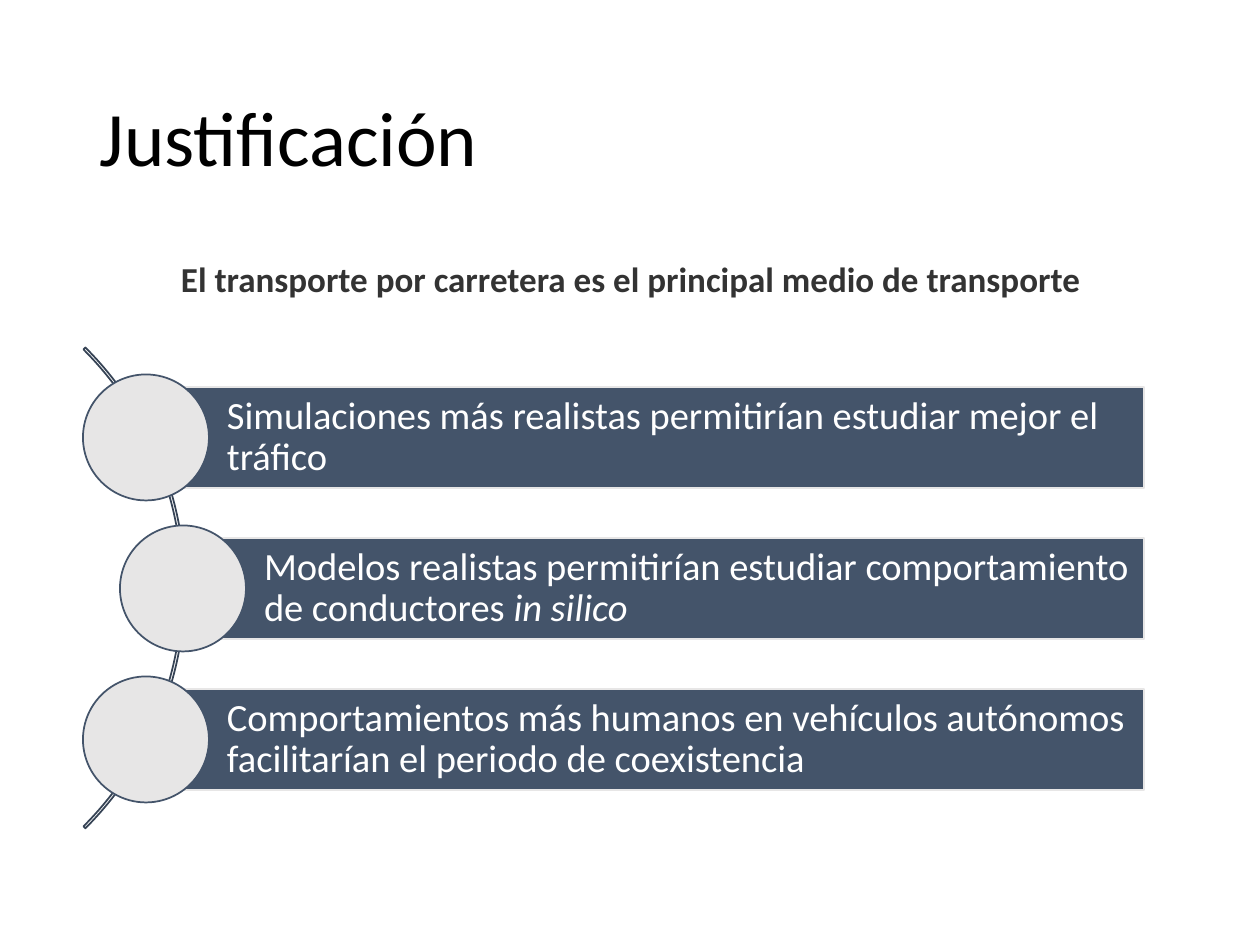
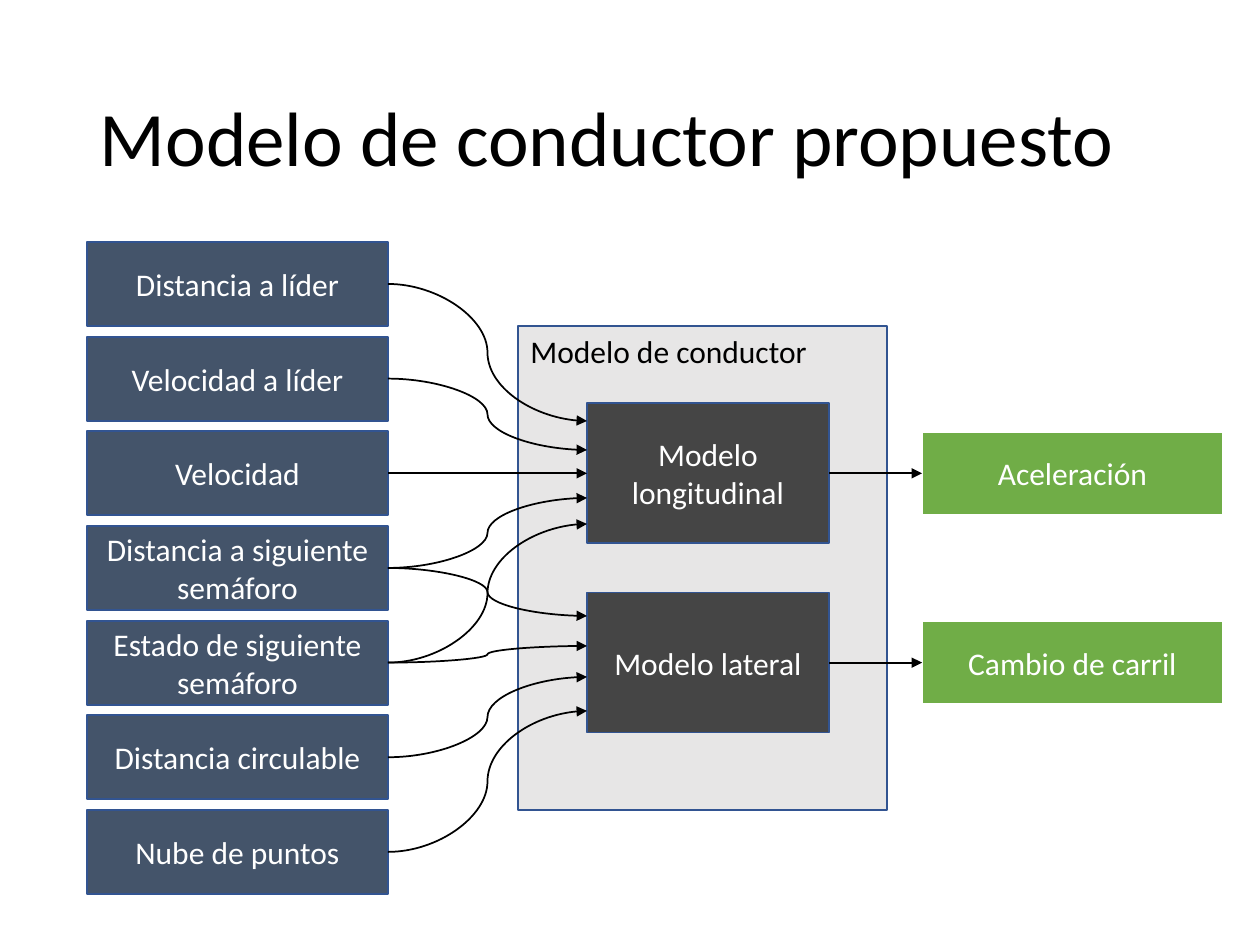
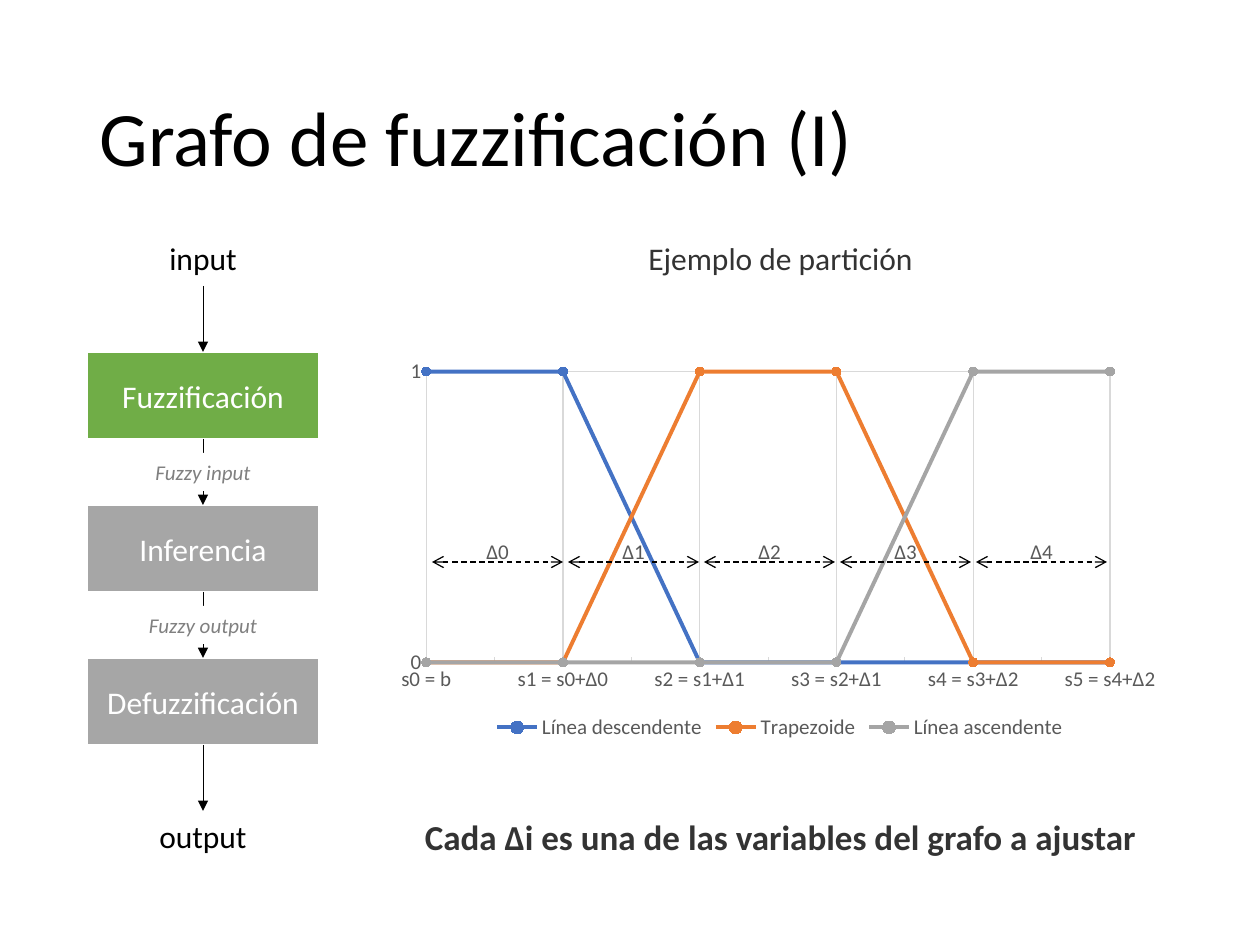
"""Build three slides on a proposed driver model and its fuzzification graph."""
from dataclasses import dataclass

from pptx import Presentation
from pptx.chart.data import CategoryChartData
from pptx.dml.color import RGBColor
from pptx.enum.chart import XL_CHART_TYPE as ChartType, XL_LEGEND_POSITION as LegendPosition
from pptx.enum.chart import XL_MARKER_STYLE as Marker, XL_TICK_MARK as Tick
from pptx.enum.dml import MSO_LINE
from pptx.enum.shapes import MSO_CONNECTOR as Connector, MSO_SHAPE as Shape
from pptx.enum.text import MSO_ANCHOR as Anchor, MSO_AUTO_SIZE as AutoSize, PP_ALIGN as Align
from pptx.oxml.ns import qn
from pptx.oxml.xmlchemy import OxmlElement
from pptx.util import Emu, Pt


@dataclass(frozen=True)
class Theme:
    font: str = "Calibri"
    black: str = "000000"
    white: str = "FFFFFF"
    ink: str = "333333"
    navy: str = "44546A"
    arc: str = "364355"
    pale: str = "E7E6E6"
    charcoal: str = "454545"
    border: str = "325491"
    green: str = "70AD47"
    gray: str = "A6A6A6"
    muted: str = "808080"
    axis: str = "595959"
    grid: str = "D9D9D9"
    series: tuple = ("4472C4", "ED7D31", "A5A5A5")
    title: int = 44
    bar: int = 22
    lead: int = 20
    body: int = 18
    small: int = 12


THEME = Theme()
SCALE = 914400 / 126
LEFT, RIGHT, TOP, BOTTOM = 1, 3, 0, 2

LEAD = "El transporte por carretera es el principal medio de transporte"
REASONS = [
    (146, [("Simulaciones más realistas permitirían estudiar mejor el tráfico", False)]),
    (183, [("Modelos realistas permitirían estudiar comportamiento de conductores ", False),
           ("in silico", True)]),
    (146, [("Comportamientos más humanos en vehículos autónomos facilitarían el "
            "periodo de coexistencia", False)]),
]

INPUTS = ["Distancia a líder", "Velocidad a líder", "Velocidad", "Distancia a siguiente semáforo",
          "Estado de siguiente semáforo", "Distancia circulable", "Nube de puntos"]
SUBMODELS = [
    {"name": "Modelo longitudinal", "output": "Aceleración", "row": 2,
     "arrows": [(0, 421), (1, 450), (2, None), (3, 498), (4, 524)]},
    {"name": "Modelo lateral", "output": "Cambio de carril", "row": 4,
     "arrows": [(3, 616), (4, 646), (5, 677), (6, 711)]},
]

STAGES = [("input", 93, 53, None), ("Fuzzificación", 233, 87, THEME.green),
          ("Inferencia", 233, 87, THEME.gray), ("Defuzzificación", 233, 87, THEME.gray),
          ("output", 114, 50, None)]
SIGNALS = [(1, "Fuzzy input", 122), (2, "Fuzzy output", 135)]
CATEGORIES = ["s0 = b", "s1 = s0+Δ0", "s2 = s1+Δ1", "s3 = s2+Δ1", "s4 = s3+Δ2", "s5 = s4+Δ2"]
SERIES = {"Línea descendente": (1, 1, 0, 0, 0, 0), "Trapezoide": (0, 0, 1, 1, 0, 0),
          "Línea ascendente": (0, 0, 0, 0, 1, 1)}
DELTAS = ["Δ0", "Δ1", "Δ2", "Δ3", "Δ4"]
PLOT_AREA = {"x": 0.05, "y": 0.05, "w": 0.87, "h": 0.74}


def emu(*lengths):
    return [Emu(round(length * SCALE)) for length in lengths]


def style_font(font, size, color, bold=False, italic=False):
    font.name, font.size, font.bold, font.italic = THEME.font, Pt(size), bold, italic
    font.color.rgb = RGBColor.from_string(color)


def style_line(line, color, width):
    line.color.rgb = RGBColor.from_string(color)
    line.width = Pt(width)


def write(shape, runs, size, color, align=Align.CENTER, anchor=Anchor.TOP, wrap=True, **style):
    """Write one paragraph, given as a string or as (text, italic) runs."""
    frame = shape.text_frame
    frame.word_wrap, frame.vertical_anchor = wrap, anchor
    para = frame.paragraphs[0]
    para.alignment = align
    style_font(para.font, size, color, **style)
    for text, italic in [(runs, False)] if isinstance(runs, str) else runs:
        span = para.add_run()
        span.text = text
        if italic:
            span.font.italic = True
    return para


def add_text(slide, frame, text, size, color, **style):
    box = slide.shapes.add_textbox(*emu(*frame))
    write(box, text, size, color, **style)


def add_box(slide, kind, frame, fill=None, line=None, width=1):
    box = slide.shapes.add_shape(kind, *emu(*frame))
    box.shadow.inherit = False
    if fill:
        box.fill.solid()
        box.fill.fore_color.rgb = RGBColor.from_string(fill)
    else:
        box.fill.background()
    if line:
        style_line(box.line, line, width)
    else:
        box.line.fill.background()
    return box


def add_labelled(slide, kind, frame, text, fill, line, width=1):
    box = add_box(slide, kind, frame, fill, line, width)
    write(box, text, THEME.body, THEME.white, anchor=Anchor.MIDDLE)
    return box


def add_arrow(slide, kind, ends, width, tips, dash=None):
    arrow = slide.shapes.add_connector(kind, *emu(*ends))
    style_line(arrow.line, THEME.black, width)
    if dash:
        arrow.line.dash_style = dash
    for tag, tip in tips.items():
        mark = OxmlElement(f"a:{tag}")
        mark.set("type", tip)
        arrow.line._get_or_add_ln().append(mark)
    arrow._element.spPr.append(OxmlElement("a:effectLst"))
    return arrow


def add_titled(deck, title):
    slide = deck.slides.add_slide(deck.slide_layouts[5])
    holder = slide.shapes.title
    holder.left, holder.top, holder.width, holder.height = emu(87, 50, 1086, 183)
    holder.text_frame.auto_size = AutoSize.NONE
    para = write(holder, title, THEME.title, THEME.black, Align.LEFT, Anchor.MIDDLE)
    para.line_spacing = 0.9
    return slide


def build_reasons(deck):
    slide = add_titled(deck, "Justificación")
    add_text(slide, (77, 251, 1108, 55), LEAD, THEME.lead, THEME.ink, bold=True)
    arc = add_box(slide, Shape.BLOCK_ARC, (-495, 248, 680, 680), line=THEME.arc)
    for index, value in enumerate((189, 27, 0.004)):
        arc.adjustments[index] = value
    right, height, circle = 1144, 101, 126
    for index, (left, runs) in enumerate(REASONS):
        top = 387 + 151 * index
        bar = add_box(slide, Shape.RECTANGLE, (left, top, right - left, height),
                      THEME.navy, THEME.pale)
        para = write(bar, runs, THEME.bar, THEME.white, Align.LEFT, Anchor.MIDDLE)
        para.line_spacing = 0.9
        frame = bar.text_frame
        (frame.margin_left, frame.margin_top,
         frame.margin_right, frame.margin_bottom) = emu(81, 8, 8, 8)
        add_box(slide, Shape.OVAL, (left - circle / 2, top + (height - circle) / 2, circle, circle),
                THEME.pale, THEME.navy)


def build_model(deck):
    slide = add_titled(deck, "Modelo de conductor propuesto")
    process, width, height = Shape.FLOWCHART_PROCESS, 301, 84
    model = add_box(slide, process, (518, 326, 369, 484), THEME.pale, THEME.border)
    write(model, "Modelo de conductor", THEME.body, THEME.black, Align.LEFT)
    tops = [242 + 568 * row / (len(INPUTS) - 1) for row in range(len(INPUTS))]
    sources = [add_labelled(slide, process, (87, top, width, height), name,
                            THEME.navy, THEME.border) for name, top in zip(INPUTS, tops)]
    tips = {"tailEnd": "triangle"}
    for part in SUBMODELS:
        top = tops[part["row"]]
        middle = top + height / 2
        submodel = add_labelled(slide, process, (587, middle - 70, 242, 140), part["name"],
                                THEME.charcoal, THEME.border)
        output = add_labelled(slide, process, (922, top, width, height), part["output"],
                              THEME.green, THEME.white, 1.5)
        for row, end in part["arrows"]:
            ends = (87 + width, tops[row] + height / 2, 587, end or middle)
            arrow = add_arrow(slide, Connector.CURVE, ends, 1, tips)
            arrow.begin_connect(sources[row], RIGHT)
            if end is None:
                arrow.end_connect(submodel, LEFT)
        arrow = add_arrow(slide, Connector.CURVE, (829, middle, 922, middle), 1, tips)
        arrow.begin_connect(submodel, RIGHT)
        arrow.end_connect(output, LEFT)


def add_partition_chart(slide):
    data = CategoryChartData()
    data.categories = CATEGORIES
    for name, values in SERIES.items():
        data.add_series(name, values)
    chart = slide.shapes.add_chart(ChartType.LINE_MARKERS, *emu(387, 352, 786, 393), data).chart
    style_font(chart.font, THEME.small, THEME.axis)
    chart.has_title = False
    chart.has_legend = True
    chart.legend.position, chart.legend.include_in_layout = LegendPosition.BOTTOM, False
    style_font(chart.legend.font, THEME.small, THEME.axis)
    for axis in (chart.category_axis, chart.value_axis):
        axis.has_major_gridlines = True
        style_line(axis.major_gridlines.format.line, THEME.grid, 0.75)
        axis.major_tick_mark = axis.minor_tick_mark = Tick.NONE
        style_font(axis.tick_labels.font, THEME.small, THEME.axis)
    chart.category_axis.minor_tick_mark = Tick.INSIDE
    style_line(chart.category_axis.format.line, THEME.grid, 0.75)
    scale = chart.value_axis
    scale.minimum_scale, scale.maximum_scale, scale.major_unit = 0, 1, 1
    scale.format.line.fill.background()
    chart.plots[0].vary_by_categories = False
    for series, color in zip(chart.plots[0].series, THEME.series):
        series.smooth = False
        style_line(series.format.line, color, 2.25)
        series.marker.style, series.marker.size = Marker.CIRCLE, 5
        series.marker.format.fill.solid()
        series.marker.format.fill.fore_color.rgb = RGBColor.from_string(color)
        style_line(series.marker.format.line, color, 0.75)
    place_plot(chart)


def place_plot(chart):
    """Start the lines on the value axis and fix the inner plot area."""
    plot = chart.element.find(".//" + qn("c:plotArea"))
    value_axis = plot.find(qn("c:valAx"))
    crossing = value_axis.find(qn("c:crossBetween"))
    if crossing is None:
        crossing = OxmlElement("c:crossBetween")
        value_axis.find(qn("c:crosses")).addnext(crossing)
    crossing.set("val", "midCat")
    for old in plot.findall(qn("c:layout")):
        plot.remove(old)
    layout, manual = OxmlElement("c:layout"), OxmlElement("c:manualLayout")
    settings = {"layoutTarget": "inner", "xMode": "edge", "yMode": "edge", **PLOT_AREA}
    for tag, value in settings.items():
        setting = OxmlElement(f"c:{tag}")
        setting.set("val", str(value))
        manual.append(setting)
    layout.append(manual)
    plot.insert(0, layout)


def build_fuzzification(deck):
    slide = add_titled(deck, "Grafo de fuzzificación (I)")
    add_partition_chart(slide)
    center, gap, top = 203, 66, 233
    boxes, bottoms = [], []
    for text, width, height, fill in STAGES:
        frame = (center - width / 2, top, width, height)
        if fill:
            box = add_labelled(slide, Shape.RECTANGLE, frame, text, fill, THEME.white, 1.5)
        else:
            box = add_box(slide, Shape.RECTANGLE, frame, THEME.white)
            write(box, text, THEME.body, THEME.black, wrap=False)
        boxes.append(box)
        bottoms.append(top + height)
        top += height + gap
    for upper, lower, bottom in zip(boxes, boxes[1:], bottoms):
        arrow = add_arrow(slide, Connector.STRAIGHT, (center, bottom, center, bottom + gap),
                          0.5, {"tailEnd": "triangle"})
        arrow.begin_connect(upper, BOTTOM)
        arrow.end_connect(lower, TOP)
    for stage, text, width in SIGNALS:
        frame = (center - width / 2, bottoms[stage] + (gap - 38) / 2, width, 38)
        box = add_box(slide, Shape.RECTANGLE, frame, THEME.white)
        write(box, text, THEME.small, THEME.muted, wrap=False, italic=True)
    add_text(slide, (407, 233, 747, 50), "Ejemplo de partición", THEME.body, THEME.ink)
    for index, name in enumerate(DELTAS):
        left, length = 432 + 136 * index, 131
        add_arrow(slide, Connector.STRAIGHT, (left, 562, left + length, 562), 0.75,
                  {"headEnd": "arrow", "tailEnd": "arrow"}, MSO_LINE.DASH)
        add_text(slide, (left, 532, length, 42), name, THEME.small, THEME.axis)
    add_text(slide, (407, 809, 747, 55), "Cada Δi es una de las variables del grafo a ajustar",
             THEME.lead, THEME.ink, bold=True)


def main():
    deck = Presentation()
    deck.slide_width, deck.slide_height = emu(1260, 945)
    build_reasons(deck)
    build_model(deck)
    build_fuzzification(deck)
    deck.save("out.pptx")


if __name__ == "__main__":
    main()
